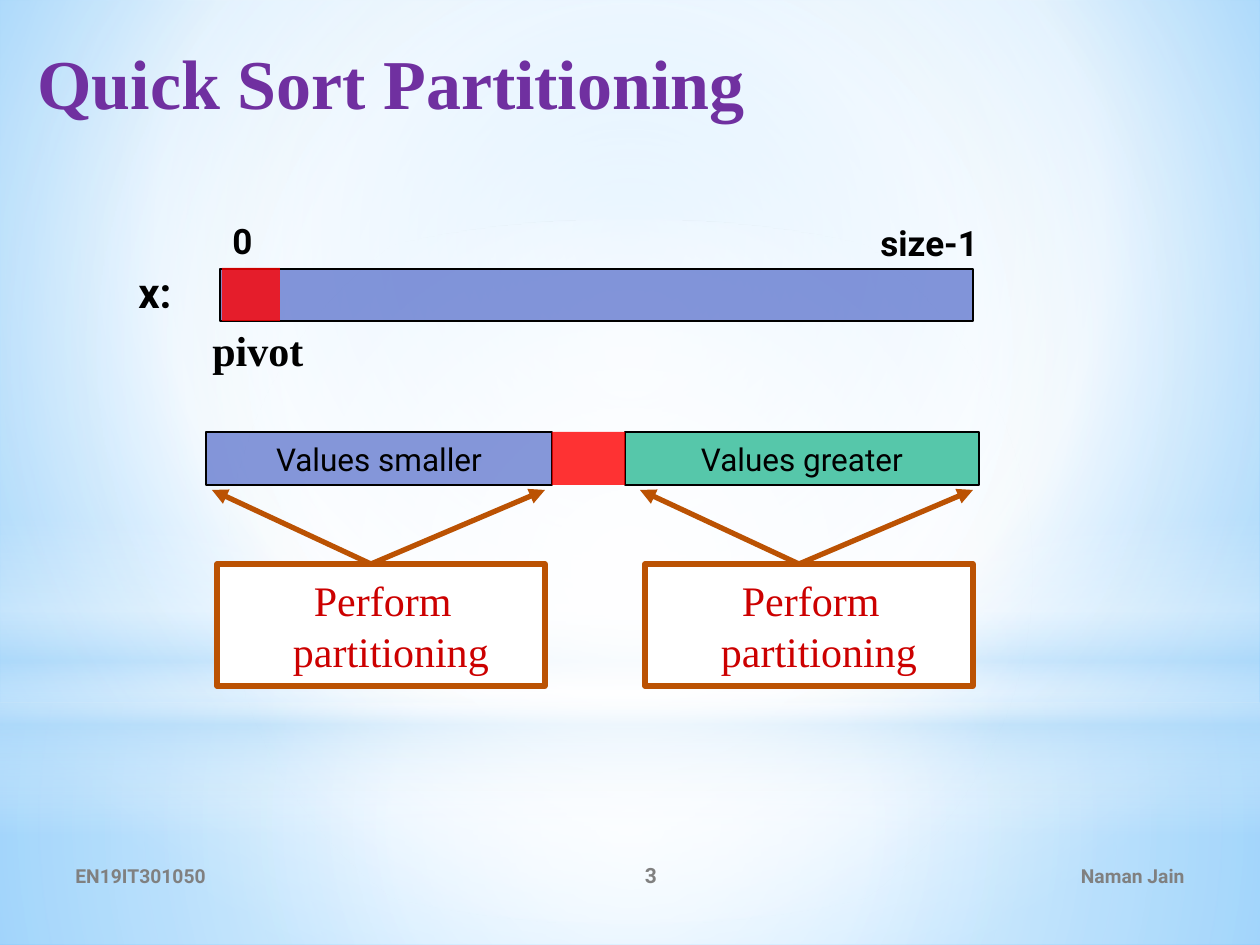
from dataclasses import dataclass
from typing import Optional

from lxml.etree import SubElement
from pptx import Presentation
from pptx.dml.color import RGBColor
from pptx.enum.shapes import MSO_CONNECTOR, MSO_SHAPE
from pptx.enum.text import MSO_ANCHOR, PP_ALIGN
from pptx.oxml import parse_xml
from pptx.oxml.ns import nsdecls, qn
from pptx.util import Pt

BLACK = RGBColor(0x00, 0x00, 0x00)
WHITE = RGBColor(0xFF, 0xFF, 0xFF)
GREY = RGBColor(0x80, 0x80, 0x80)
PURPLE = RGBColor(0x70, 0x30, 0xA0)
BLUE = RGBColor(0x4E, 0x67, 0xC8)
GREEN = RGBColor(0x56, 0xC7, 0xAA)
RED = RGBColor(0xFF, 0x00, 0x00)
DARK_RED = RGBColor(0xCC, 0x00, 0x00)
BROWN = RGBColor(0xBB, 0x52, 0x03)
PALE_BLUE = RGBColor(0xB4, 0xDC, 0xFA)
SKY = RGBColor(0x9E, 0xD5, 0xFF)
DEEP_SKY = RGBColor(0x5B, 0xB9, 0xFF)

SANS = "Roboto"
SERIF = "Times New Roman"
RADIAL = '<a:path path="circle"><a:fillToRect l="{}000" t="{}000" r="{}000" b="{}000"/></a:path>'
CENTRED = RADIAL.format(50, 50, 50, 50)
DOWNWARD = '<a:lin ang="5400000" scaled="0"/>'


@dataclass
class Label:
    text: str
    x: int
    y: int
    w: int
    h: int
    size: int
    font: str = SANS
    color: RGBColor = BLACK
    align: PP_ALIGN = PP_ALIGN.LEFT
    anchor: MSO_ANCHOR = MSO_ANCHOR.TOP
    indent: int = 0


@dataclass
class Bar:
    x: int
    y: int
    w: int
    h: int
    fill: RGBColor
    alpha: int = 100
    line: Optional[RGBColor] = None
    weight: float = 0.75
    text: str = ""


@dataclass
class Glow:
    shape: MSO_SHAPE
    y: int
    h: int
    stops: list
    direction: str = CENTRED


GLOWS = [
    Glow(MSO_SHAPE.RECTANGLE, 703, 242, [(0, WHITE, 91), (37, WHITE, 76), (100, PALE_BLUE, 79)]),
    Glow(MSO_SHAPE.RECTANGLE, 0, 703, [(0, WHITE, 89), (48, WHITE, 62), (100, PALE_BLUE, 79)]),
    Glow(MSO_SHAPE.RECTANGLE, 519, 315,
         [(0, WHITE, 0), (29, WHITE, 30), (45, PALE_BLUE, 40),
          (55, WHITE, 26), (65, PALE_BLUE, 60), (100, WHITE, 0)], DOWNWARD),
    Glow(MSO_SHAPE.OVAL, 220, 703, [(0, WHITE, 100), (56, WHITE, 0)]),
]
LABELS = [
    Label("EN19IT301050", 63, 850, 462, 51, 11, color=GREY, anchor=MSO_ANCHOR.MIDDLE),
    Label("3", 525, 850, 252, 51, 12, color=GREY, align=PP_ALIGN.CENTER, anchor=MSO_ANCHOR.MIDDLE),
    Label("Naman Jain", 850, 850, 347, 51, 11, color=GREY, align=PP_ALIGN.RIGHT,
          anchor=MSO_ANCHOR.MIDDLE),
    Label("0", 220, 213, 48, 54, 20),
    Label("size-1", 868, 215, 180, 54, 20),
    Label("x:", 126, 260, 66, 63, 24),
    Label("pivot", 137, 318, 185, 63, 24, SERIF, indent=63),
]
ARRAY = [
    Bar(220, 269, 753, 52, BLUE, 69, BLACK),
    Bar(222, 268, 58, 53, RED, 80),
]
PARTITIONS = [
    Bar(206, 432, 346, 53, BLUE, 68, BLACK, text="Values smaller"),
    Bar(625, 432, 354, 53, GREEN, line=BLACK, text="Values greater"),
    Bar(552, 432, 73, 53, RED, 80),
]
STEP_LEFTS = (217, 645)


def px(n: int) -> int:
    return round(n * 914400 / 126)


def set_gradient(holder, stops: list, direction: str) -> None:
    gs = "".join(
        f'<a:gs pos="{pos}000"><a:srgbClr val="{color}"><a:alpha val="{alpha}000"/></a:srgbClr></a:gs>'
        for pos, color, alpha in stops)
    solid = holder.find(qn("a:solidFill"))
    holder.replace(solid, parse_xml(
        f'<a:gradFill {nsdecls("a")} rotWithShape="1"><a:gsLst>{gs}</a:gsLst>{direction}</a:gradFill>'))


def format_text(tf, size: int, font: str, color: RGBColor, bold: bool, align: PP_ALIGN) -> None:
    for p in tf.paragraphs:
        p.alignment = align
        for r in p.runs:
            r.font.size = Pt(size)
            r.font.name = font
            r.font.bold = bold
            r.font.color.rgb = color


def set_indent(p, n: int) -> None:
    p._p.get_or_add_pPr().set("marL", str(px(n)))


def add_glow(shapes, glow: Glow) -> None:
    sp = shapes.add_shape(glow.shape, 0, px(glow.y), px(1260), px(glow.h))
    sp.shadow.inherit = False
    sp.line.fill.background()
    sp.fill.solid()
    set_gradient(sp._element.spPr, glow.stops, glow.direction)


def add_label(shapes, label: Label) -> None:
    tf = shapes.add_textbox(px(label.x), px(label.y), px(label.w), px(label.h)).text_frame
    tf.word_wrap = True
    tf.vertical_anchor = label.anchor
    tf.text = label.text
    format_text(tf, label.size, label.font, label.color, True, label.align)
    set_indent(tf.paragraphs[0], label.indent)


def add_bar(shapes, bar: Bar):
    sp = shapes.add_shape(MSO_SHAPE.RECTANGLE, px(bar.x), px(bar.y), px(bar.w), px(bar.h))
    sp.shadow.inherit = False
    sp.fill.solid()
    sp.fill.fore_color.rgb = bar.fill
    if bar.alpha < 100:
        clr = sp._element.spPr.find(qn("a:solidFill"))[0]
        SubElement(clr, qn("a:alpha")).set("val", f"{bar.alpha}000")
    if bar.line is None:
        sp.line.fill.background()
    else:
        sp.line.color.rgb = bar.line
        sp.line.width = Pt(bar.weight)
    tf = sp.text_frame
    tf.vertical_anchor = MSO_ANCHOR.MIDDLE
    if bar.text:
        tf.text = bar.text
        format_text(tf, 18, SANS, BLACK, False, PP_ALIGN.CENTER)
    return sp


def add_arrow(shapes, x1: int, y1: int, x2: int, y2: int) -> None:
    c = shapes.add_connector(MSO_CONNECTOR.STRAIGHT, px(x1), px(y1), px(x2), px(y2))
    c.line.color.rgb = BROWN
    c.line.width = Pt(3)
    SubElement(c.line._get_or_add_ln(), qn("a:tailEnd")).set("type", "triangle")
    SubElement(c._element.spPr, qn("a:effectLst"))


def add_step(shapes, x: int) -> None:
    group = shapes.add_group_shape().shapes
    tf = add_bar(group, Bar(x, 564, 328, 122, WHITE, line=BROWN, weight=3)).text_frame
    tf.margin_left = tf.margin_right = 0
    tf.text = "Perform\npartitioning"
    format_text(tf, 24, SERIF, DARK_RED, False, PP_ALIGN.LEFT)
    for p, indent in zip(tf.paragraphs, (97, 76)):
        set_indent(p, indent)
    for tip in (x - 5, x + 328):
        add_arrow(group, x + 154, 564, tip, 490)


def main() -> None:
    prs = Presentation()
    prs.slide_width, prs.slide_height = px(1260), px(945)
    s = prs.slides.add_slide(prs.slide_layouts[5])
    s.background.fill.solid()
    set_gradient(s._element.xpath(".//p:bgPr")[0],
                 [(0, SKY, 100), (60, WHITE, 100), (100, DEEP_SKY, 100)],
                 RADIAL.format(20, 10, 20, 60))
    for glow in GLOWS:
        add_glow(s.shapes, glow)

    title = s.shapes.title
    s.shapes._spTree.append(title._element)
    title.left, title.top, title.width, title.height = px(25), px(26), px(1201), px(129)
    tf = title.text_frame
    tf.vertical_anchor = MSO_ANCHOR.TOP
    tf.margin_top = px(14)
    tf.text = "Quick Sort Partitioning"
    format_text(tf, 40, SERIF, PURPLE, True, PP_ALIGN.LEFT)

    for bar in ARRAY:
        add_bar(s.shapes, bar)
    for label in LABELS:
        add_label(s.shapes, label)
    group = s.shapes.add_group_shape().shapes
    for bar in PARTITIONS:
        add_bar(group, bar)
    for x in STEP_LEFTS:
        add_step(s.shapes, x)
    prs.save("out.pptx")


if __name__ == "__main__":
    main()
